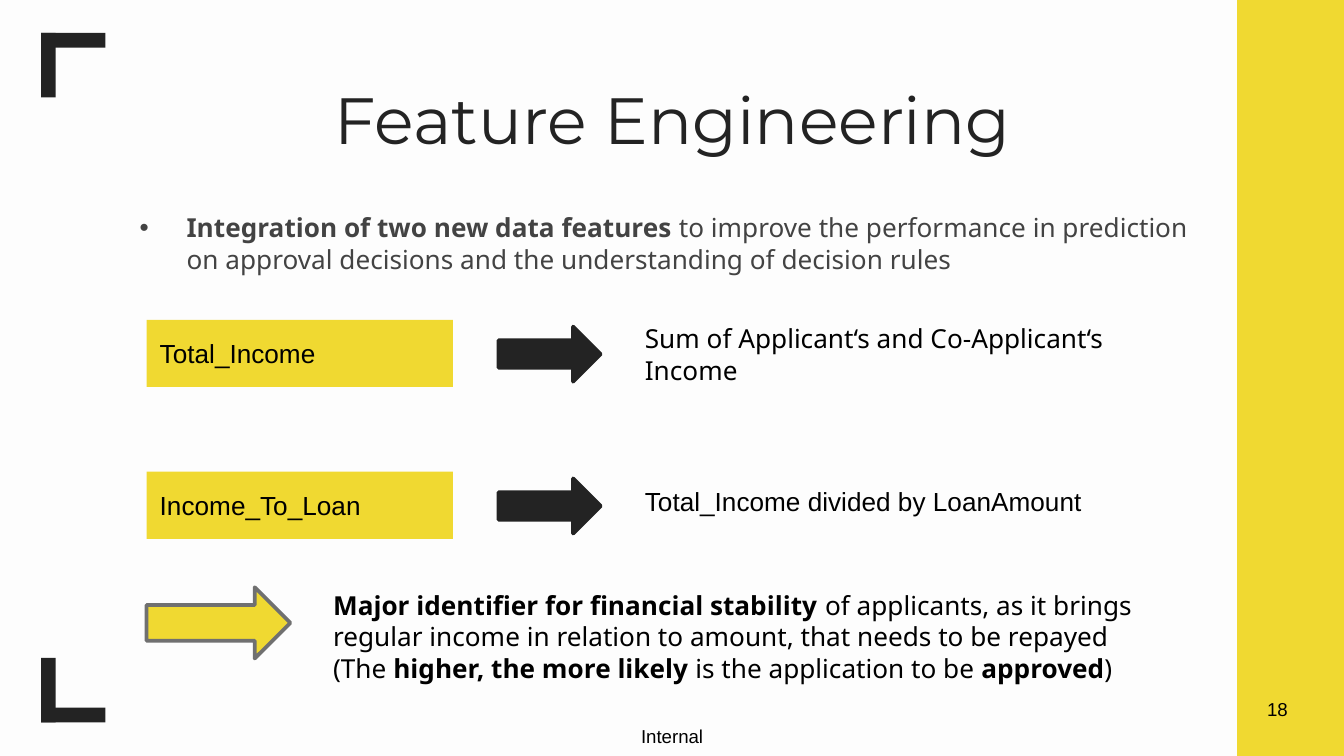
from pptx import Presentation, util as u
from pptx.dml.color import RGBColor
from pptx.enum import shapes, text
from pptx.oxml.ns import qn
from lxml import etree

PX = 4572
COLORS = {
    "paper": "FDFDFD", "ink": "232323", "yellow": "F0D931",
    "body": "434343", "black": "000000", "outline": "707070",
}


def emu(*lengths):
    return [u.Emu(length * PX) for length in lengths]


def rgb(name):
    return RGBColor.from_string(COLORS[name])


class Deck:
    def __init__(self, width, height):
        self.prs = Presentation()
        self.prs.slide_width, self.prs.slide_height = emu(width, height)
        self.slide = None

    def new_slide(self):
        self.slide = self.prs.slides.add_slide(self.prs.slide_layouts[5])
        fill = self.slide.background.fill
        fill.solid()
        fill.fore_color.rgb = rgb("paper")

    def fill_text(self, frame, lines, font="Arial", size=14, color="black",
                  align=text.PP_ALIGN.LEFT, anchor=text.MSO_ANCHOR.TOP,
                  insets=(20, 20), wrap=True, leading=None, bullet=None):
        frame.word_wrap = wrap
        frame.auto_size = text.MSO_AUTO_SIZE.NONE
        frame.vertical_anchor = anchor
        side, edge = emu(*insets)
        frame.margin_left = frame.margin_right = side
        frame.margin_top = frame.margin_bottom = edge
        for index, line in enumerate(lines):
            paragraph = frame.add_paragraph() if index else frame.paragraphs[0]
            paragraph.alignment = align
            if leading:
                paragraph.line_spacing = u.Pt(leading)
            if bullet:
                self.add_bullet(paragraph, bullet, color)
            paragraph.font.name = font
            paragraph.font.size = u.Pt(size)
            paragraph.font.color.rgb = rgb(color)
            for words, bold in line:
                run = paragraph.add_run()
                run.text = words
                if bold:
                    run.font.bold = True

    def add_bullet(self, paragraph, mark, color):
        properties = paragraph._p.get_or_add_pPr()
        margin, indent = emu(100, -70)
        properties.set("marL", str(margin))
        properties.set("indent", str(indent))
        bullet_color = etree.SubElement(properties, qn("a:buClr"))
        etree.SubElement(bullet_color, qn("a:srgbClr"), val=COLORS[color])
        etree.SubElement(properties, qn("a:buFont"), typeface="Arial")
        etree.SubElement(properties, qn("a:buChar"), char=mark)

    def title(self, box, words):
        title = self.slide.shapes.title
        title.left, title.top, title.width, title.height = emu(*box)
        self.fill_text(title.text_frame, [[(words, False)]], "Montserrat", 35,
                       "ink", text.PP_ALIGN.CENTER)

    def text(self, box, lines, **style):
        textbox = self.slide.shapes.add_textbox(*emu(*box))
        self.fill_text(textbox.text_frame, lines, **style)

    def shape(self, kind, box, color, outline=None):
        shape = self.slide.shapes.add_shape(kind, *emu(*box))
        shape.shadow.inherit = False
        shape.fill.solid()
        shape.fill.fore_color.rgb = rgb(color)
        if outline:
            shape.line.color.rgb = rgb(outline)
            shape.line.width = u.Pt(2)
        else:
            shape.line.fill.background()
        return shape

    def rect(self, box, color, label=None):
        rect = self.shape(shapes.MSO_SHAPE.RECTANGLE, box, color)
        if label:
            self.fill_text(rect.text_frame, [[(label, False)]],
                           anchor=text.MSO_ANCHOR.MIDDLE)

    def arrow(self, box, color, outline):
        self.shape(shapes.MSO_SHAPE.RIGHT_ARROW, box, color, outline)


def main():
    deck = Deck(2000, 1125)
    deck.new_slide()

    for upright_top, bar_top in ((49, 49), (979, 1053)):
        deck.rect((61, upright_top, 22, 96), "ink")
        deck.rect((61, bar_top, 96, 22), "ink")
    deck.rect((1841, 0, 159, 1125), "yellow")

    deck.title((158, 98, 1686, 126), "Feature Engineering")
    deck.text((158, 294, 1652, 148), [[
        ("Integration of two new data features ", True),
        ("to improve the performance in prediction on approval decisions "
         "and the understanding of decision rules", False),
    ]], font="Noto Sans", color="body", leading=17, bullet="•")

    tight = {"insets": (20, 10), "wrap": False}
    noto = {"font": "Noto Sans", "leading": 17, **tight}
    features = [
        ("Total_Income", (940, 470, 800, 114),
         ["Sum of Applicant‘s and Co-Applicant‘s", "Income"], noto),
        ("Income_To_Loan", (940, 712, 698, 68),
         ["Total_Income divided by LoanAmount"], tight),
    ]
    for row, (feature, box, meaning, style) in enumerate(features):
        top = 476 + row * 226
        deck.rect((218, top, 456, 100), "yellow", feature)
        deck.arrow((742, top + 10, 152, 82), "ink", "ink")
        deck.text(box, [[(line, False)] for line in meaning], **style)

    deck.arrow((218, 874, 214, 106), "yellow", "outline")
    deck.text((476, 866, 1264, 162), [
        [("Major identifier for financial stability ", True),
         ("of applicants, as it brings", False)],
        [("regular income in relation to amount, that needs to be repayed",
          False)],
        [("(The ", False), ("higher, the more likely ", True),
         ("is the application to be ", False), ("approved", True),
         (")", False)],
    ], **noto)

    deck.text((954, 1078, 100, 34), [[("Internal", False)]],
              size=10, insets=(0, 0), wrap=False)
    deck.text((1866, 1028, 72, 54), [[("18", False)]], size=10, **tight)

    deck.prs.save("out.pptx")


if __name__ == "__main__":
    main()
